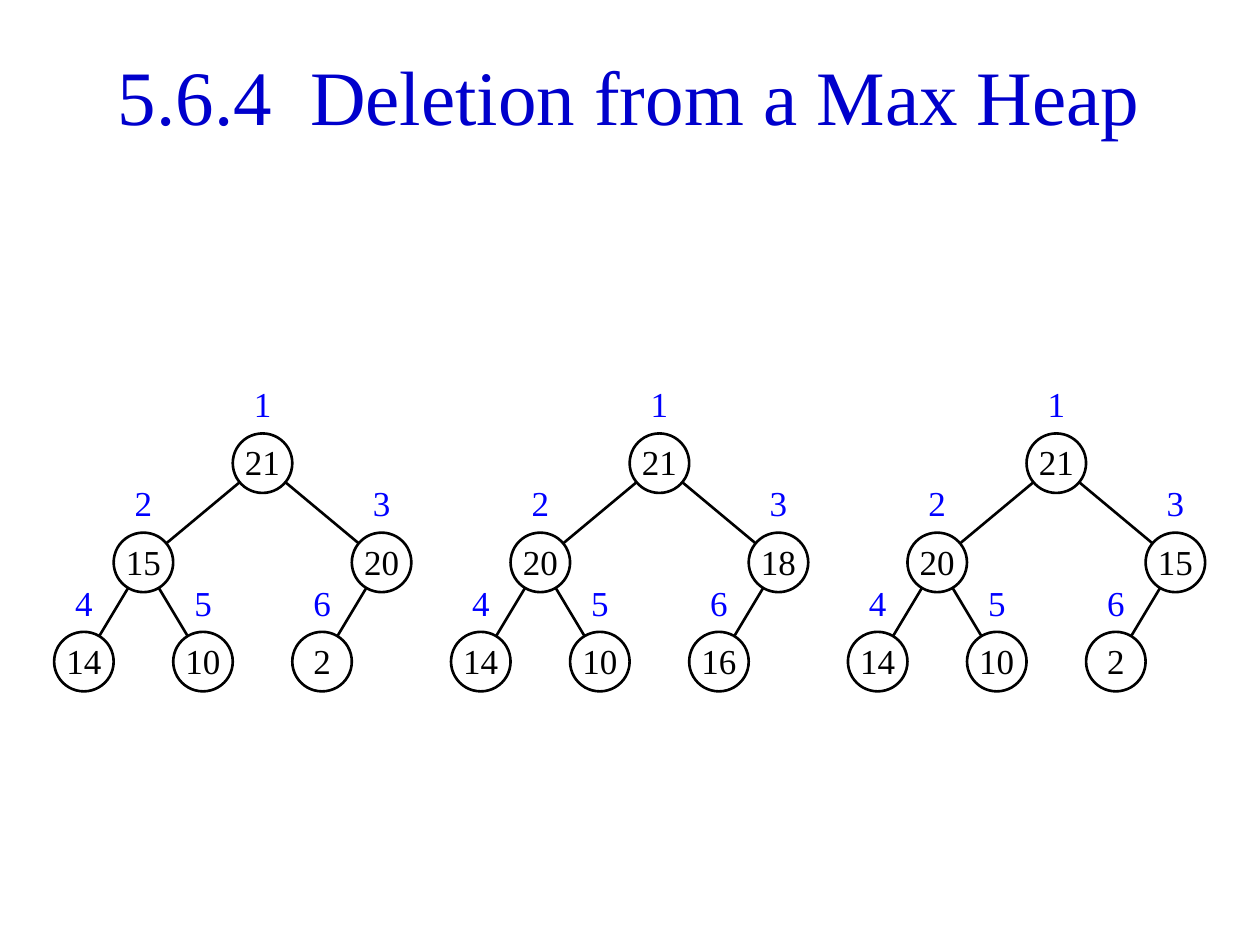
from lxml import etree
from pptx import Presentation, util as u
from pptx.dml.color import RGBColor
from pptx.enum import shapes, text
from pptx.oxml.ns import qn

UNIT = 3.15 / 20            # grid step in inches; neighbouring trees are 20 steps apart
LEFT, TOP = 0.43, 3.44      # corner of the grid
NODE, LEVEL, TREE = 3, 5, 20  # node diameter, level pitch and tree pitch in steps
BLACK, WHITE, BLUE, TITLE_BLUE = "000000", "FFFFFF", "0000FF", "0000CC"


def write(sp, content, size=20, color=BLACK, anchor=text.MSO_ANCHOR.MIDDLE,
          wrap=True, margins=(0.1, 0.05, 0.1, 0.05)):
    tf = sp.text_frame
    tf.word_wrap = wrap
    tf.vertical_anchor = anchor
    tf.margin_left, tf.margin_top, tf.margin_right, tf.margin_bottom = map(u.Inches, margins)
    p = tf.paragraphs[0]
    p.alignment = text.PP_ALIGN.CENTER
    r = p.add_run()
    r.text = content
    r.font.name = "Times New Roman"
    r.font.size = u.Pt(size)
    r.font.color.rgb = RGBColor.from_string(color)


def grid(col, row):
    """Slide position of a grid point, in EMU."""
    return u.Inches(LEFT + col * UNIT), u.Inches(TOP + row * UNIT)


prs = Presentation()
prs.slide_width, prs.slide_height = u.Inches(10), u.Inches(7.5)
s = prs.slides.add_slide(prs.slide_layouts[6])

title = s.shapes.add_textbox(u.Inches(LEFT), u.Inches(0.28), u.Inches(9.13), u.Inches(0.94))
write(title, "5.6.4  Deletion from a Max Heap", size=44, color=TITLE_BLUE)

# Each heap is listed in array order; node i has its parent at i // 2.
heaps = [
    [21, 15, 20, 14, 10, 2],
    [21, 20, 18, 14, 10, 16],
    [21, 20, 15, 14, 10, 2],
]
node_cols = [9, 3, 15, 0, 6, 12]
diameter = u.Inches(NODE * UNIT)

for h, heap in enumerate(heaps):
    places = {i: (h * TREE + col, (i.bit_length() - 1) * LEVEL)
              for i, col in enumerate(node_cols, start=1)}

    for i in range(2, len(heap) + 1):
        ends = [grid(col + NODE / 2, row + NODE / 2)
                for col, row in (places[i // 2], places[i])]
        edge = s.shapes.add_connector(shapes.MSO_CONNECTOR.STRAIGHT, *ends[0], *ends[1])
        edge.line.color.rgb = RGBColor.from_string(BLACK)
        edge.line.width = u.Pt(1.5)
        etree.SubElement(edge._element.spPr, qn("a:effectLst"))

    for i, key in enumerate(heap, start=1):
        col, row = places[i]
        node = s.shapes.add_shape(shapes.MSO_SHAPE.OVAL, *grid(col, row), diameter, diameter)
        node.shadow.inherit = False
        node.fill.solid()
        node.fill.fore_color.rgb = RGBColor.from_string(WHITE)
        node.line.color.rgb = RGBColor.from_string(BLACK)
        node.line.width = u.Pt(1.5)
        write(node, str(key), anchor=text.MSO_ANCHOR.BOTTOM, margins=(0, 0, 0, 0.01))

        index = s.shapes.add_textbox(*grid(col, row - NODE), diameter, diameter)
        write(index, str(i), color=BLUE, wrap=False)

prs.save("out.pptx")
